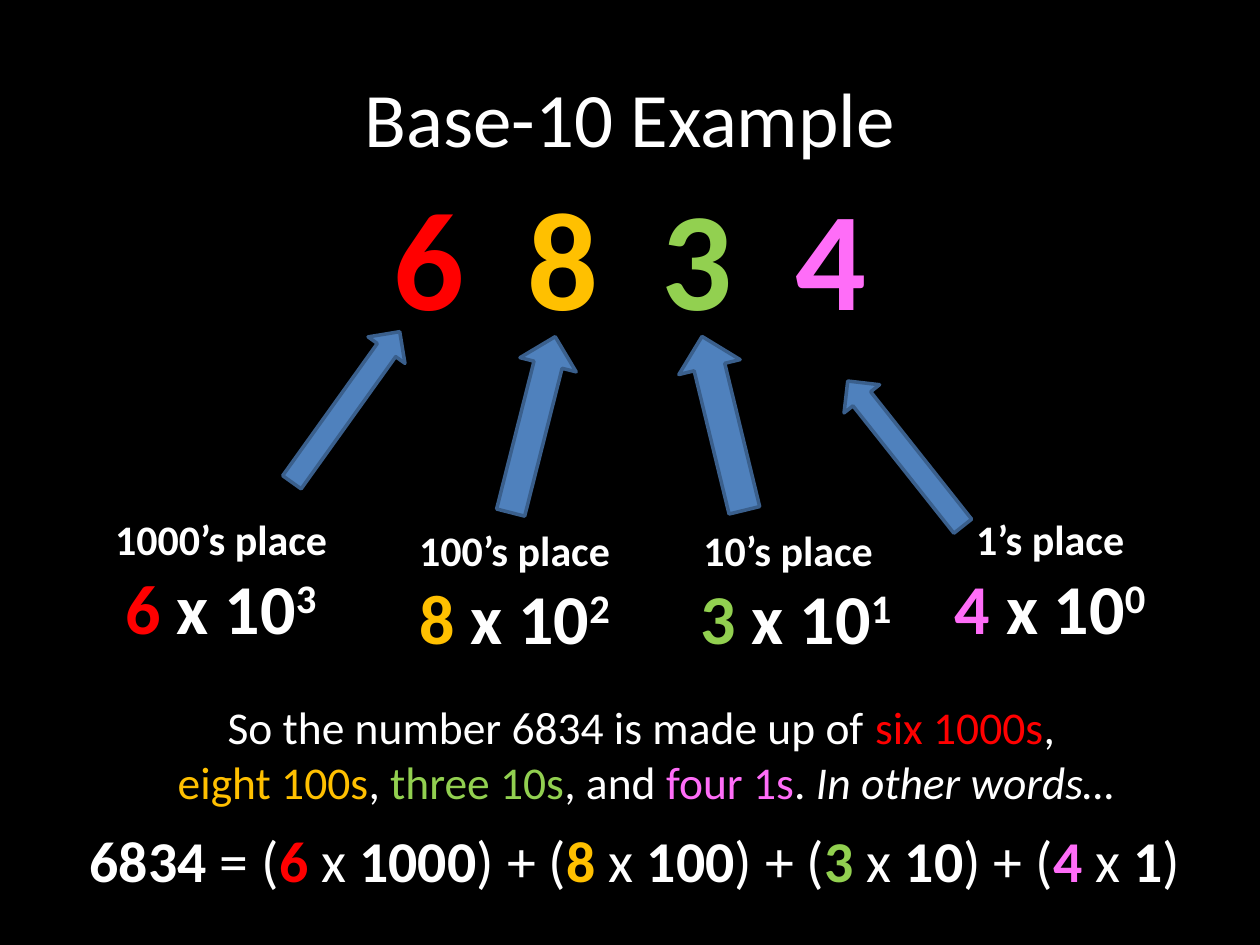
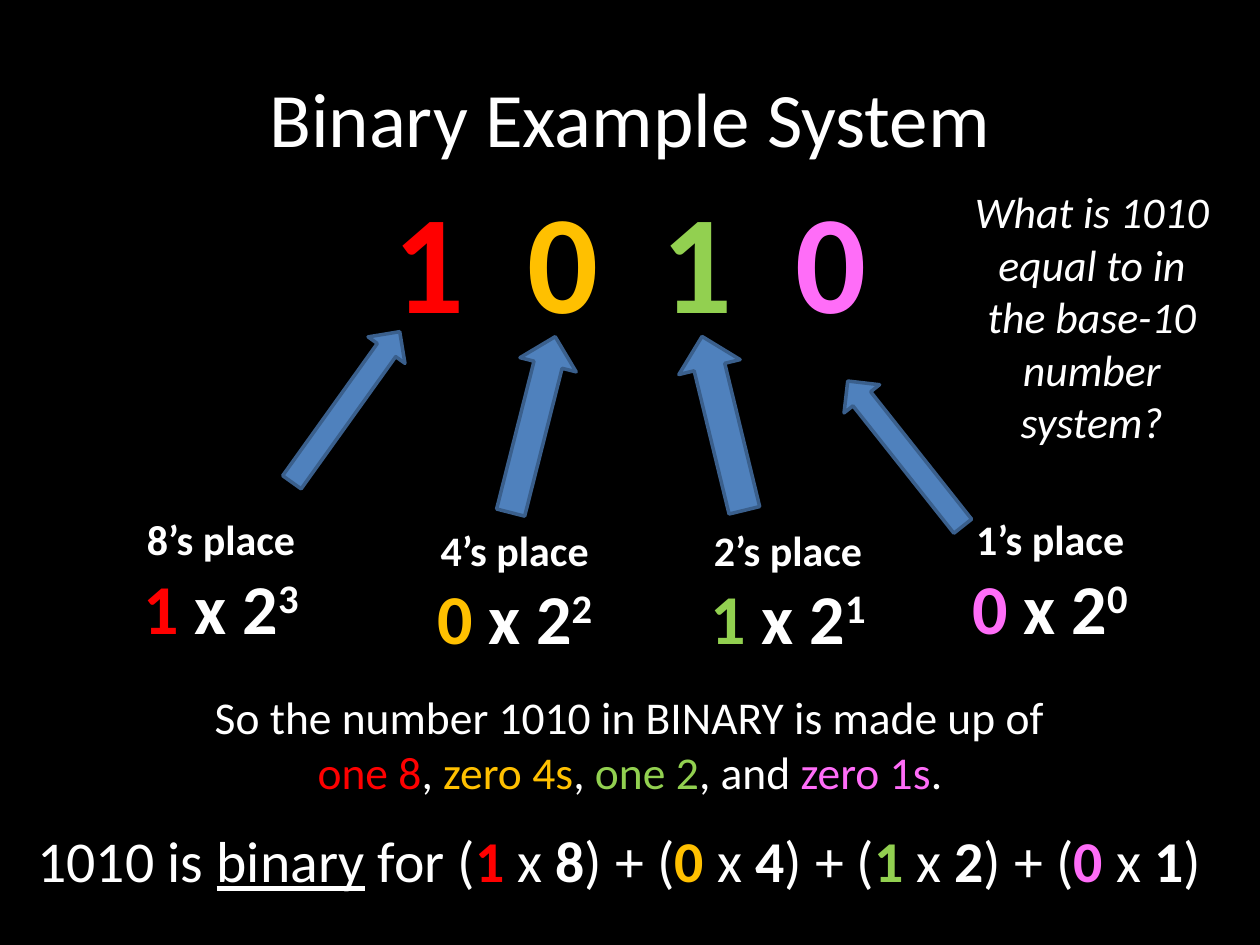
"""Build two slides that break a number into its place values."""
import pptx
import pptx.util
import pptx.dml.color
import pptx.enum.shapes
import pptx.enum.text

Inches, Pt = pptx.util.Inches, pptx.util.Pt
SHAPE = pptx.enum.shapes.MSO_SHAPE
TEXT = pptx.enum.text

COLORS = {"back": "000000", "text": "FFFFFF", "fill": "4F81BD", "edge": "3A5F8C",
          "first": "FF0000", "second": "FFC000", "third": "92D050", "fourth": "FF6DF8"}
HUES = ["first", "second", "third", "fourth"]

SLIDES = [
    {"title": "Base-10 Example", "digits": "6834", "base": 10, "top": 1.3,
     "leads": ["", "", " ", ""], "gaps": [18, 18, 0, 0],
     "sum_at": (1.17, 5.5, 7.92, 0.98),
     "sum": [[("So the number 6834 is made up of ", {}), ("six 1000s", {"hue": "first"}), (", ", {})],
             [("eight 100s", {"hue": "second"}), (", ", {}), ("three 10s", {"hue": "third"}),
              (", and ", {}), ("four 1s", {"hue": "fourth"}), (". ", {}),
              ("In other words…", {"italic": True})]],
     "math_at": (0.58, 6.5, 8.92, 0.66),
     "math": [("6834 ", {"bold": True}), ("= (", {})], "end": ") "},
    {"title": "Binary Example System", "digits": "1010", "base": 2, "top": 1.33,
     "leads": ["", "", "", ""], "gaps": [10, 18, 0, 0],
     "sum_at": (1.08, 5.42, 7.92, 0.98),
     "sum": [[("So the number 1010 in BINARY is made up of ", {})],
             [("one 8", {"hue": "first"}), (", ", {}), ("zero 4s", {"hue": "second"}), (", ", {}),
              ("one 2", {"hue": "third"}), (", and ", {}), ("zero 1s", {"hue": "fourth"}), (". ", {})]],
     "math_at": (0, 6.5, 9.83, 0.66),
     "math": [("1010 is ", {}), ("binary", {"underline": True}), (" for (", {})], "end": ")",
     "ask": "What is 1010 equal to in the base-10 number system?"},
]
ASK_AT = (7.58, 1.42, 2.17, 2.2)
ARROWS = [(SHAPE.RIGHT_ARROW, (6.45, 3.42, 1.47, 0.36), 231.6),
          (SHAPE.RIGHT_ARROW, (2.01, 3.05, 1.47, 0.36), 305.6),
          (SHAPE.UP_ARROW, (4, 2.65, 0.46, 1.44), 14.2),
          (SHAPE.UP_ARROW, (5.49, 2.65, 0.5, 1.42), 346.3)]
PLACES = [(0.42, 4.03), (2.75, 4.11), (4.92, 4.11), (7, 4.03)]


def color(name):
    return pptx.dml.color.RGBColor.from_string(COLORS[name])


def write(frame, paras, size):
    frame.word_wrap = True
    for num, runs in enumerate(paras):
        para = frame.paragraphs[0] if num == 0 else frame.add_paragraph()
        para.alignment = TEXT.PP_ALIGN.CENTER
        para.space_before = Pt(0)
        for text, look in runs:
            run = para.add_run()
            run.text = text
            look = {"name": "Calibri", "size": Pt(size), **look}
            run.font.color.rgb = color(look.pop("hue", "text"))
            props = run._r.get_or_add_rPr()
            for key, value in look.items():
                if key in ("spc", "baseline"):
                    props.set(key, str(value))
                else:
                    setattr(run.font, key, Pt(value) if key == "size" and value < 999 else value)


def place(shape, spot):
    for key, value in zip(("left", "top", "width", "height"), spot):
        setattr(shape, key, Inches(value))


def add_box(slide, spot, paras, size):
    box = slide.shapes.add_textbox(*map(Inches, spot))
    write(box.text_frame, paras, size)
    box.text_frame.auto_size = TEXT.MSO_AUTO_SIZE.SHAPE_TO_FIT_TEXT


def add_arrow(slide, kind, spot, turn):
    arrow = slide.shapes.add_shape(kind, *map(Inches, spot))
    arrow.rotation = turn
    arrow.shadow.inherit = False
    arrow.fill.solid()
    arrow.fill.fore_color.rgb = color("fill")
    arrow.line.color.rgb = color("edge")
    arrow.line.width = Pt(2)


def add_digits(slide, data):
    body = slide.placeholders[1]
    place(body, (0.5, data["top"], 9, 4.78))
    last = len(HUES) - 1
    runs = []
    for num, (digit, hue) in enumerate(zip(data["digits"], HUES)):
        look = {"hue": hue, "bold": True}
        runs.append((digit, look) if num == last else (digit + " ", {**look, "spc": 900}))
    props = body.text_frame.paragraphs[0]._p.get_or_add_pPr()
    props.set("marL", str(Inches(0.38)))
    props.set("indent", str(Inches(-0.38)))
    props.append(pptx.oxml.parse_xml(
        '<a:buNone xmlns:a="http://schemas.openxmlformats.org/drawingml/2006/main"/>'))
    write(body.text_frame, [runs], 80)


def add_terms(slide, data):
    math = list(data["math"])
    bold = {"bold": True}
    last = len(HUES) - 1
    for num, (digit, hue) in enumerate(zip(data["digits"], HUES)):
        power = last - num
        value = data["base"] ** power
        gap = data["gaps"][num]
        tail = {"baseline": 30000, "spc": gap * 100} if gap else {"baseline": 30000}
        big = {"bold": True, "size": 40}
        add_box(slide, (*PLACES[num], 2.67, 1.18),
                [[(f"{value}’s place", bold)],
                 [(data["leads"][num] + digit, {**big, "hue": hue}),
                  (f" x {data['base']}", big), (str(power), {**big, **tail})]], 24)
        math += [(digit + " ", {"hue": hue, "bold": True}), ("x", {}), (f" {value}", bold),
                 (data["end"] if num == last else ") + (", {})]
    add_box(slide, data["sum_at"], data["sum"], 26)
    add_box(slide, data["math_at"], [math], 33)


def main():
    deck = pptx.Presentation()
    deck.slide_width, deck.slide_height = Inches(10), Inches(7.5)
    back = deck.slide_master.background.fill
    back.solid()
    back.fore_color.rgb = color("back")
    for data in SLIDES:
        slide = deck.slides.add_slide(deck.slide_layouts[1])
        title = slide.shapes.title
        place(title, (0.5, 0.3, 9, 1.25))
        write(title.text_frame, [[(data["title"], {})]], 44)
        title.text_frame.vertical_anchor = TEXT.MSO_ANCHOR.MIDDLE
        add_digits(slide, data)
        for arrow in ARROWS:
            add_arrow(slide, *arrow)
        add_terms(slide, data)
        if "ask" in data:
            add_box(slide, ASK_AT, [[(data["ask"], {"italic": True})]], 25)
    deck.save("out.pptx")


if __name__ == "__main__":
    main()
